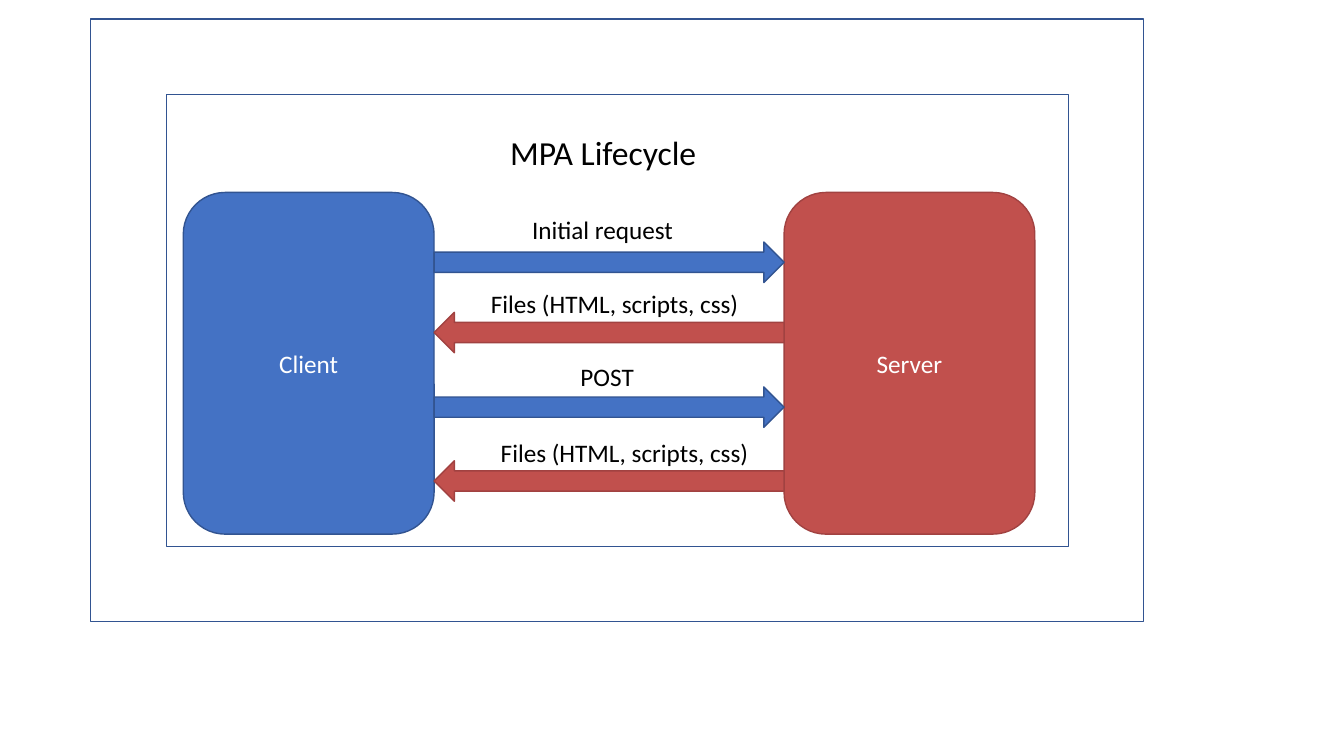
from pptx import Presentation
from pptx.dml.color import RGBColor
from pptx.enum.shapes import MSO_SHAPE
from pptx.enum.text import MSO_ANCHOR, MSO_AUTO_SIZE, PP_ALIGN
from pptx.util import Cm, Pt

BLUE = RGBColor(0x44, 0x72, 0xC4)
DARK_BLUE = RGBColor(0x32, 0x54, 0x91)
RED = RGBColor(0xC1, 0x50, 0x4D)
DARK_RED = RGBColor(0xA1, 0x42, 0x41)
WHITE = RGBColor(0xFF, 0xFF, 0xFF)
BLACK = RGBColor(0x00, 0x00, 0x00)

CLIENT_COLORS = (BLUE, DARK_BLUE)
SERVER_COLORS = (RED, DARK_RED)
BOX_TOP, BOX_WIDTH, BOX_HEIGHT = 4.85, 6.32, 8.61
CLIENT_LEFT, SERVER_LEFT = 4.62, 19.76
ARROW_LEFT = CLIENT_LEFT + BOX_WIDTH
ARROW_WIDTH = SERVER_LEFT - ARROW_LEFT
ARROW_HEIGHT = 1.02

EXCHANGES = [
    ("Initial request", 6.1, (13.16, 5.28, 4.39, 1.02)),
    ("Files (HTML, scripts, css)", 7.87, (12.12, 7.14, 6.83, 1.02)),
    ("POST", 9.75, (14.38, 8.99, 1.85, 1.02)),
    ("Files (HTML, scripts, css)", 11.61, (12.37, 10.9, 6.83, 1.8)),
]


class LifecyclePage:
    """Holds the text style and the slide, and draws each kind of element."""

    font_name = "Calibri"
    font_size = 18

    def __init__(self, deck):
        self.page = deck.slides.add_slide(deck.slide_layouts[5])

    def add_text(self, frame, text, color, size=font_size, align=PP_ALIGN.LEFT):
        para = frame.paragraphs[0]
        para.alignment = align
        span = para.add_run()
        span.text = text
        span.font.name = self.font_name
        span.font.size = Pt(size)
        span.font.color.rgb = color

    def title(self, text, left, top, width, height):
        box = self.page.shapes.title
        box.left, box.top, box.width, box.height = map(Cm, (left, top, width, height))
        frame = box.text_frame
        frame.word_wrap = True
        frame.auto_size = MSO_AUTO_SIZE.SHAPE_TO_FIT_TEXT
        frame.vertical_anchor = MSO_ANCHOR.TOP
        self.add_text(frame, text, BLACK, size=24)

    def shape(self, kind, place, fill, line, line_width=1):
        shape = self.page.shapes.add_shape(kind, *map(Cm, place))
        shape.shadow.inherit = False
        if fill is None:
            shape.fill.background()
        else:
            shape.fill.solid()
            shape.fill.fore_color.rgb = fill
        shape.line.color.rgb = line
        shape.line.width = Pt(line_width)
        return shape

    def party(self, name, left, colors):
        place = (left, BOX_TOP, BOX_WIDTH, BOX_HEIGHT)
        box = self.shape(MSO_SHAPE.ROUNDED_RECTANGLE, place, *colors)
        box.text_frame.vertical_anchor = MSO_ANCHOR.MIDDLE
        self.add_text(box.text_frame, name, WHITE, align=PP_ALIGN.CENTER)

    def arrow(self, top, colors, rotation):
        place = (ARROW_LEFT, top, ARROW_WIDTH, ARROW_HEIGHT)
        self.shape(MSO_SHAPE.RIGHT_ARROW, place, *colors).rotation = rotation

    def label(self, text, place):
        frame = self.page.shapes.add_textbox(*map(Cm, place)).text_frame
        frame.word_wrap = False
        frame.auto_size = MSO_AUTO_SIZE.SHAPE_TO_FIT_TEXT
        self.add_text(frame, text, BLACK)

    def border(self, *place):
        self.shape(MSO_SHAPE.FRAME, place, None, DARK_BLUE, line_width=0)


def main():
    """Build the lifecycle slide and save it."""
    deck = Presentation()
    deck.slide_width, deck.slide_height = Cm(33.87), Cm(19.05)
    lifecycle = LifecyclePage(deck)
    lifecycle.title("MPA Lifecycle", 12.6, 3.2, 5.44, 1.27)
    lifecycle.party("Client", CLIENT_LEFT, CLIENT_COLORS)
    lifecycle.party("Server", SERVER_LEFT, SERVER_COLORS)
    for index, (text, arrow_top, label_place) in enumerate(EXCHANGES):
        from_server = index % 2 == 1
        colors = SERVER_COLORS if from_server else CLIENT_COLORS
        lifecycle.arrow(arrow_top, colors, 180 if from_server else 0)
        lifecycle.label(text, label_place)
    lifecycle.border(2.29, 0.48, 26.54, 15.19)
    deck.save("out.pptx")


if __name__ == "__main__":
    main()
